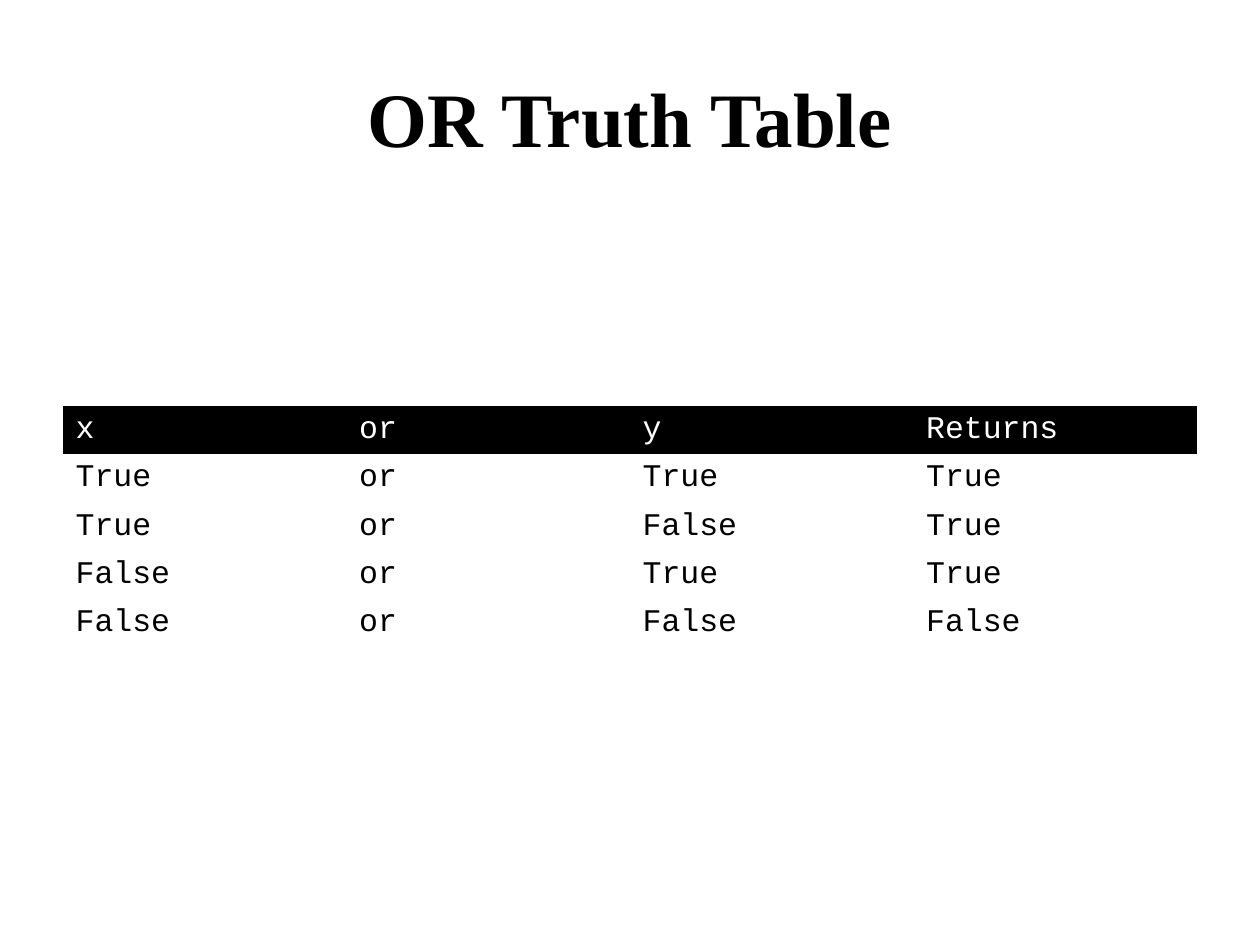
from dataclasses import dataclass
from itertools import product

from pptx import Presentation
from pptx.dml.color import RGBColor
from pptx.enum.text import MSO_ANCHOR, PP_ALIGN
from pptx.oxml.ns import qn
from pptx.util import Inches, Pt


@dataclass(frozen=True)
class Theme:
    ink: RGBColor = RGBColor(0, 0, 0)
    paper: RGBColor = RGBColor(255, 255, 255)
    title_font: str = "Times New Roman"
    code_font: str = "Courier New"
    title_size: Pt = Pt(44)
    code_size: Pt = Pt(18)
    table_style: str = "{2D5ABB26-0587-4C30-8999-92F81FD0307C}"


class SlideBuilder:
    def __init__(self, slide, theme):
        self.slide = slide
        self.theme = theme

    def set_font(self, paragraph, name, size, color, bold=False):
        font = paragraph.font
        font.name = name
        font.size = size
        font.bold = bold
        font.color.rgb = color

    def add_title(self, text, left, top, width, height):
        title = self.slide.shapes.title
        title.left, title.top = Inches(left), Inches(top)
        title.width, title.height = Inches(width), Inches(height)
        frame = title.text_frame
        frame.text = text
        frame.vertical_anchor = MSO_ANCHOR.MIDDLE
        paragraph = frame.paragraphs[0]
        paragraph.alignment = PP_ALIGN.CENTER
        self.set_font(paragraph, self.theme.title_font, self.theme.title_size,
                      self.theme.ink, bold=True)

    def add_table(self, rows, left, top, width, row_height):
        frame = self.slide.shapes.add_table(
            len(rows), len(rows[0]), Inches(left), Inches(top),
            Inches(width), Inches(row_height * len(rows)))
        table = frame.table
        table.horz_banding = False
        style = next(frame._element.iter(qn("a:tableStyleId")))
        style.text = self.theme.table_style
        for row_index, row in enumerate(rows):
            for column_index, text in enumerate(row):
                self.fill_cell(table.cell(row_index, column_index), text, row_index == 0)

    def fill_cell(self, cell, text, is_header):
        cell.text = text
        cell.vertical_anchor = MSO_ANCHOR.MIDDLE
        if is_header:
            cell.fill.solid()
            cell.fill.fore_color.rgb = self.theme.ink
        else:
            cell.fill.background()
        color = self.theme.paper if is_header else self.theme.ink
        self.set_font(cell.text_frame.paragraphs[0], self.theme.code_font,
                      self.theme.code_size, color)


def main():
    presentation = Presentation()
    presentation.slide_width = Inches(10)
    presentation.slide_height = Inches(7.5)
    slide = presentation.slides.add_slide(presentation.slide_layouts[5])
    builder = SlideBuilder(slide, Theme())
    builder.add_title("OR Truth Table", 0.5, 0.3, 9, 1.25)
    truth_rows = [(str(x), "or", str(y), str(x or y))
                  for x, y in product((True, False), repeat=2)]
    builder.add_table([("x", "or", "y", "Returns"), *truth_rows], 0.5, 3.22, 9, 0.38)
    presentation.save("out.pptx")


if __name__ == "__main__":
    main()
